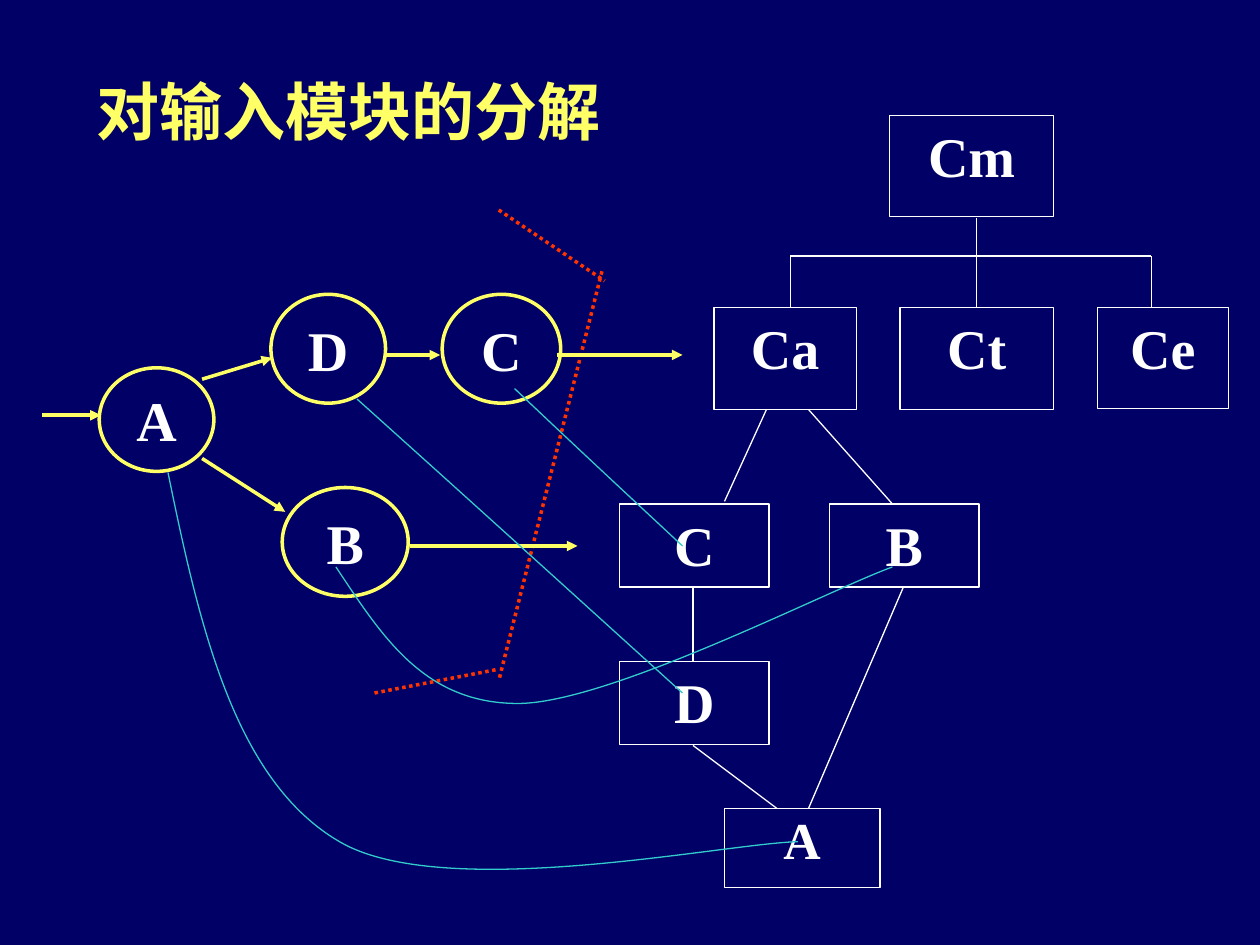
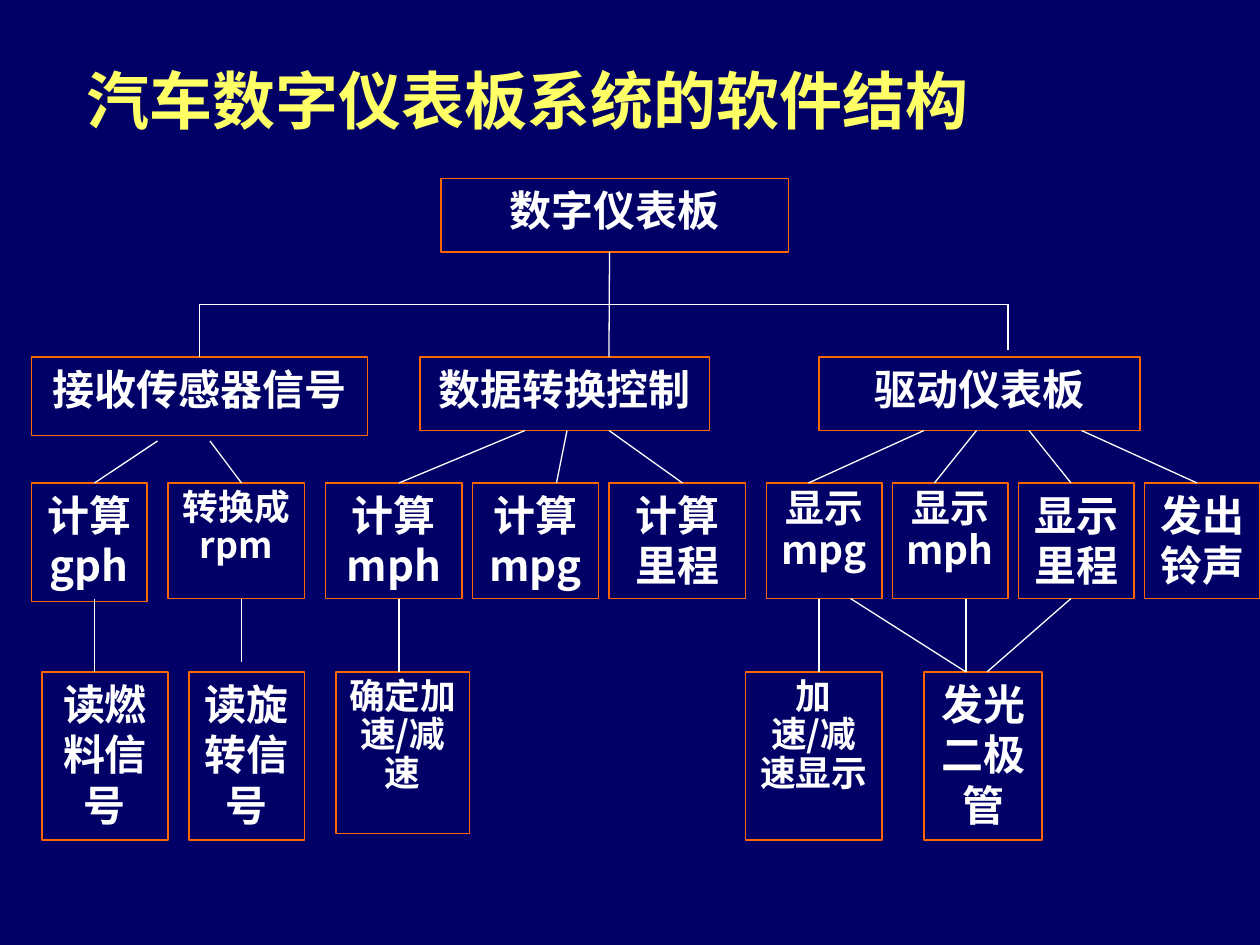
"""Build two slides on module decomposition and software structure."""
from lxml import etree
from pptx import Presentation
from pptx.dml.color import RGBColor
from pptx.enum import dml, shapes, text
from pptx.oxml import ns
from pptx.util import Pt

NAVY, YELLOW, WHITE = "000066", "FFFF66", "FFFFFF"
RED, ORANGE, TEAL = "FF3300", "FF6600", "33CCCC"
SERIF, SANS = "Times New Roman", "Noto Sans CJK SC"
RECTANGLE, OVAL = shapes.MSO_SHAPE.RECTANGLE, shapes.MSO_SHAPE.OVAL
rgb = RGBColor.from_string


def style_text(frame, size, face, color, align, spacing=None):
    """Give every paragraph of a frame the same bold font."""
    for para in frame.paragraphs:
        para.alignment = align
        para.line_spacing = spacing
        para.font.size, para.font.bold = Pt(size), True
        para.font.color.rgb = rgb(color)
        para.font.name = face
        props = para._p.get_or_add_pPr().find(ns.qn("a:defRPr"))
        etree.SubElement(props, ns.qn("a:ea"), typeface=SANS)


def add_lines(page, ends, color=WHITE, width=0.75, dash=None, arrow=False):
    """Draw straight lines, each given as x1, y1, x2, y2."""
    for points in ends:
        line = page.shapes.add_connector(
            shapes.MSO_CONNECTOR.STRAIGHT, *[Pt(v) for v in points])
        line.line.color.rgb = rgb(color)
        line.line.width = Pt(width)
        line.line.dash_style = dash
        if arrow:
            etree.SubElement(line.line._get_or_add_ln(), ns.qn("a:tailEnd"), type="triangle")
        etree.SubElement(line.element.spPr, ns.qn("a:effectLst"))


deck = Presentation()
deck.slide_width, deck.slide_height = Pt(720), Pt(540)
background = deck.slide_master.background.fill
background.solid()
background.fore_color.rgb = rgb(NAVY)

titles = [
    ("对输入模块的分解", SERIF, 48, 18, 354, 90),
    ("汽车数字仪表板系统的软件结构", SANS, 42, 24, 612, 66),
]
pages = []
for words, face, *bounds in titles:
    page = deck.slides.add_slide(deck.slide_layouts[5])
    title = page.shapes.title
    title.left, title.top, title.width, title.height = [Pt(v) for v in bounds]
    title.text_frame.text = words
    title.text_frame.vertical_anchor = text.MSO_ANCHOR.MIDDLE
    style_text(title.text_frame, 36, face, YELLOW, text.PP_ALIGN.LEFT)
    pages.append(page)
modules, dashboard = pages

add_lines(modules, [
    (344, 155, 285, 389), (285, 120, 345.5, 160.5), (214, 396, 284.5, 382.5),
], RED, 2, dml.MSO_LINE.ROUND_DOT)

box_groups = [
    (modules, OVAL, YELLOW, SERIF, 32, None, [
        ("D", 154.8, 168.2, 65.5, 62.2),
        ("C", 252.7, 168.2, 67.7, 62.2),
        ("A", 56.7, 210.2, 65.5, 59.2),
        ("B", 161.3, 278.6, 72, 62.2),
    ]),
    (modules, RECTANGLE, WHITE, SERIF, 32, None, [
        ("Cm", 508.3, 66, 93.8, 57.6),
        ("Ca", 408, 175.7, 81.4, 58.3),
        ("Ct", 514.2, 175.7, 87.8, 58.3),
        ("Ce", 627, 175.7, 75, 57.6),
        ("C", 354, 288, 85.5, 47.5),
        ("D", 354, 378, 85.5, 47.5),
        ("B", 474, 288, 85.5, 47.5),
    ]),
    (modules, RECTANGLE, WHITE, SERIF, 29.6, 0.9, [("A", 414, 462, 88.8, 45.2)]),
    (dashboard, RECTANGLE, ORANGE, SERIF, 24, None, [
        ("数字仪表板", 252, 102, 198.5, 42),
        ("接收传感器信号", 18, 204, 192, 44.7),
        ("数据转换控制", 240, 204, 165.5, 42),
        ("驱动仪表板", 468, 204, 183.5, 42),
    ]),
    (dashboard, RECTANGLE, ORANGE, SANS, 24, None, [
        ("计算gph", 18, 276, 66, 67.7),
        ("计算mph", 186, 276, 78, 66),
        ("计算mpg", 270, 276, 72, 66),
        ("计算里程", 348, 276, 78, 66),
        ("显示里程", 582, 276, 66, 66),
        ("发出铃声", 654, 276, 66, 66),
        ("读燃料信号", 24, 384, 72, 96),
        ("读旋转信号", 108, 384, 66, 96),
        ("发光\n二极管", 528, 384, 67.5, 96),
    ]),
    (dashboard, RECTANGLE, ORANGE, SANS, 22.2, 0.9, [
        ("显示mpg", 438, 276, 66, 66),
        ("显示mph", 510, 276, 66, 66),
    ]),
    (dashboard, RECTANGLE, ORANGE, SANS, 20.4, 0.9, [
        ("转换成rpm", 96, 276, 78, 66),
        ("确定加速/减速", 192, 384, 76.3, 92.2),
        ("加速/减速显示", 426, 384, 78, 96),
    ]),
]
for page, kind, edge, face, size, spacing, boxes in box_groups:
    for words, *bounds in boxes:
        box = page.shapes.add_shape(kind, *[Pt(v) for v in bounds])
        box.shadow.inherit = False
        box.line.color.rgb = rgb(edge)
        frame = box.text_frame
        frame.text = words
        if kind == OVAL:
            box.fill.solid()
            box.fill.fore_color.rgb = rgb(NAVY)
            box.line.width = Pt(2)
            frame.vertical_anchor = text.MSO_ANCHOR.MIDDLE
            frame.word_wrap = False
        else:
            box.fill.background()
            box.line.width = Pt(0.75)
            frame.vertical_anchor = text.MSO_ANCHOR.TOP
            frame.word_wrap = True
        style_text(frame, size, face, WHITE, text.PP_ALIGN.CENTER, spacing)

add_lines(modules, [
    (24, 237.3, 57.6, 237.3), (115.5, 216.7, 155.5, 204.5), (220.3, 202.9, 251.5, 202.9),
    (115.5, 262, 163, 292.5), (318.2, 202.8, 390, 202.8), (234, 312, 330, 312),
], YELLOW, 2, arrow=True)
add_lines(modules, [
    (451.7, 146.3, 658, 146.3), (558, 124.3, 558, 175.7), (451.7, 146.3, 451.7, 175.7),
    (658, 146.3, 658, 175.7), (438, 234, 414, 286.5), (462, 234, 510, 288),
    (396, 336, 396, 378), (516, 336, 462, 462), (396, 426, 444, 462),
])
add_lines(dashboard, [
    (348, 204, 348.3, 144), (114, 174, 576, 174), (114, 174, 114, 204), (576, 174, 576, 200),
    (90, 252, 54, 276), (120, 252, 138, 276),
    (300, 246, 228, 276), (324, 246, 318, 276), (348, 246, 390, 276),
    (528, 246, 462, 276), (558, 246, 534, 276), (588, 246, 612, 276), (618, 246, 684, 276),
    (54, 384, 54, 342), (138, 342, 138, 378), (228, 342, 228, 384), (468, 342, 468, 384),
    (486, 342, 552, 384), (552, 342, 552, 384), (612, 342, 564, 384),
])

curves = [
    [(294, 222), (334, 259.5), (374, 297), (390, 312)],
    [(204, 228), (281.5, 298), (359, 368.5), (390, 395.5)],
    [(192, 324), (217.5, 363), (242.5, 402), (296, 402),
     (348.5, 402), (474.5, 337), (510, 324)],
    [(96, 270), (114.5, 358), (134, 445.5), (193.7, 481),
     (253.5, 516.5), (413.5, 482.5), (456, 481)],
]
for start, *points in curves:
    builder = modules.shapes.build_freeform(*start, scale=Pt(1))
    builder.add_line_segments(points, close=False)
    curve = builder.convert_to_shape()
    curve.shadow.inherit = False
    curve.fill.background()
    curve.line.color.rgb = rgb(TEAL)
    curve.line.width = Pt(0.75)
    segments = list(curve.element.iter(ns.qn("a:lnTo")))
    for first in range(0, len(segments), 3):
        bezier = etree.Element(ns.qn("a:cubicBezTo"))
        segments[first].addprevious(bezier)
        for segment in segments[first:first + 3]:
            bezier.append(segment[0])
            segment.getparent().remove(segment)

deck.save("out.pptx")
